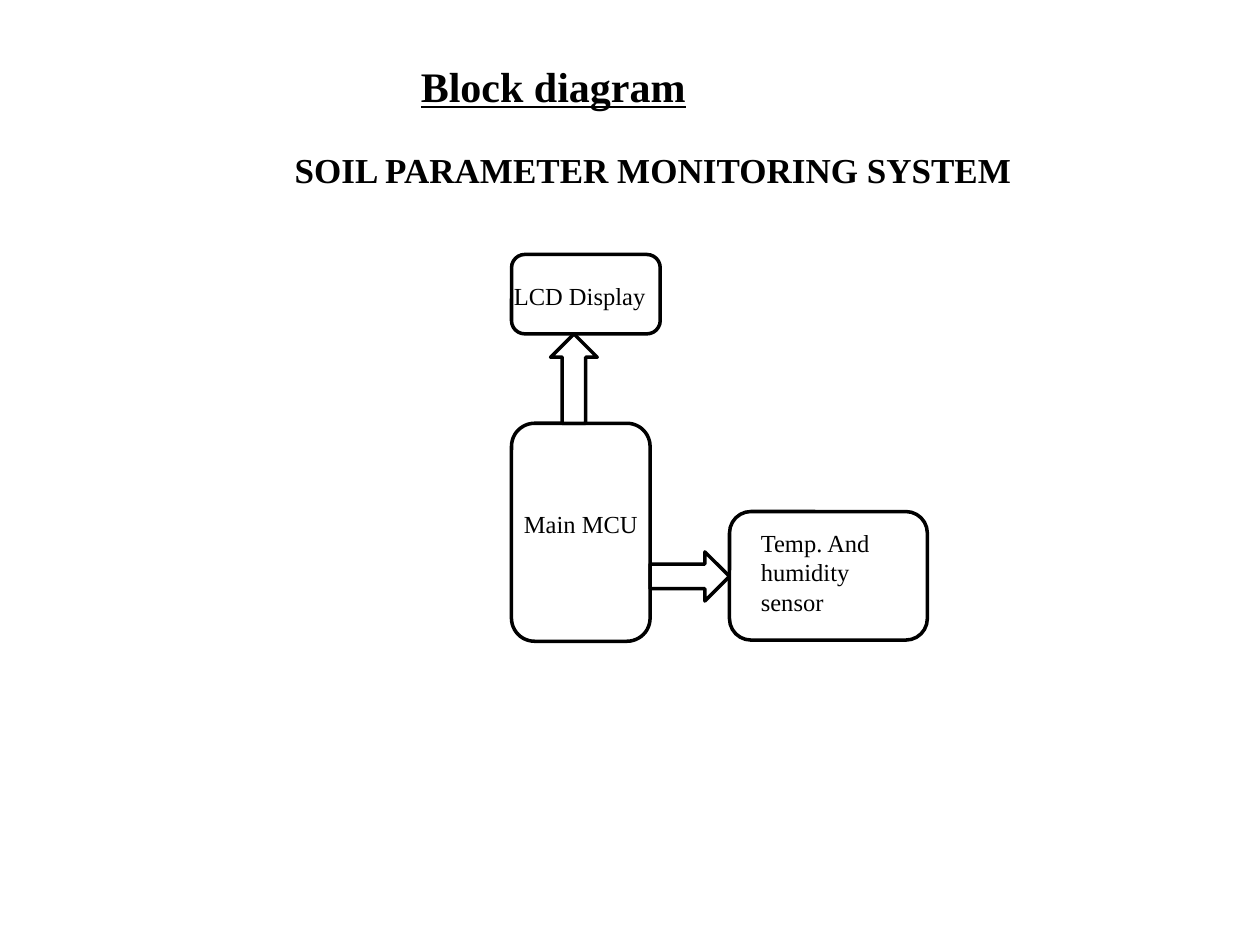
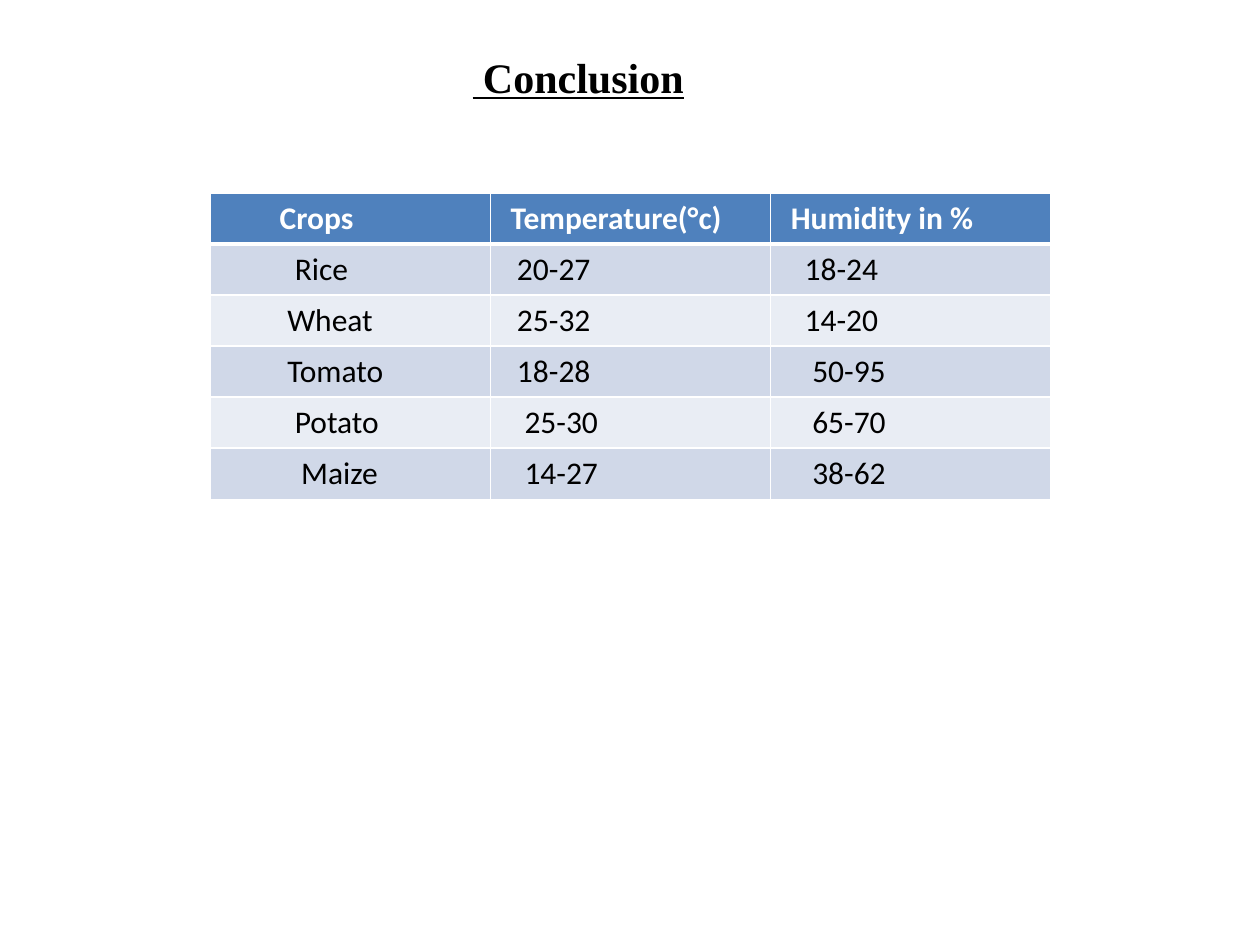
from lxml import etree
from pptx import Presentation
from pptx.dml.color import RGBColor
from pptx.enum.shapes import MSO_SHAPE as SHAPE
from pptx.enum.text import MSO_ANCHOR as ANCHOR, MSO_AUTO_SIZE as AUTO, PP_ALIGN as ALIGN
from pptx.oxml.ns import qn
from pptx.util import Inches, Pt

BLACK = RGBColor(0x00, 0x00, 0x00)
WHITE = RGBColor(0xFF, 0xFF, 0xFF)
HEADER = RGBColor(0x4F, 0x81, 0xBD)
BANDS = [RGBColor(0xD0, 0xD8, 0xE8), RGBColor(0xE9, 0xED, 0xF4)]
SERIF = "Times New Roman"
TITLE = {"name": SERIF, "size": Pt(24), "bold": True, "underline": True}
SUBTITLE = {"name": SERIF, "size": Pt(20), "bold": True}
LABEL = {"name": SERIF, "size": Pt(14)}
CELL = {"name": "Calibri", "size": Pt(18)}


def write(tf, text, font, color=BLACK):
    p = tf.paragraphs[0]
    p.alignment = ALIGN.LEFT
    r = p.add_run()
    r.text = text
    for key, value in font.items():
        setattr(r.font, key, value)
    r.font.color.rgb = color


def add_titled_slide(text, box, indent):
    s = prs.slides.add_slide(prs.slide_layouts[5])
    sp = s.shapes.title
    sp.left, sp.top, sp.width, sp.height = map(Inches, box)
    tf = sp.text_frame
    tf.auto_size = AUTO.NONE
    tf.vertical_anchor = ANCHOR.BOTTOM
    tf.margin_left = Inches(0.1 + indent)
    tf.margin_bottom = Inches(0.05)
    write(tf, text, TITLE)
    return s


prs = Presentation()
prs.slide_width, prs.slide_height = Inches(10), Inches(7.5)

# Block diagram
s = add_titled_slide("Block diagram", (1.3, 0.36, 7.56, 0.57), 1.94)

blocks = [
    (SHAPE.ROUNDED_RECTANGLE, 4.06, 3.36, 1.1, 1.73),
    (SHAPE.ROUNDED_RECTANGLE, 4.06, 2.02, 1.18, 0.63),
    (SHAPE.UP_ARROW, 4.37, 2.65, 0.37, 0.71),
    (SHAPE.ROUNDED_RECTANGLE, 5.79, 4.06, 1.57, 1.02),
    (SHAPE.RIGHT_ARROW, 5.16, 4.38, 0.63, 0.39),
]
for kind, *box in blocks:
    sp = s.shapes.add_shape(kind, *map(Inches, box))
    sp.shadow.inherit = False
    sp.fill.solid()
    sp.fill.fore_color.rgb = WHITE
    sp.line.color.rgb = BLACK
    sp.line.width = Pt(2)

labels = [
    ("SOIL PARAMETER MONITORING SYSTEM", SUBTITLE, 2.24, 1.13, 6.61, 0.44),
    ("LCD Display", LABEL, 3.98, 2.18, 1.26, 0.34),
    ("Main MCU", LABEL, 4.06, 3.99, 2.36, 0.34),
    ("Temp. And humidity sensor", LABEL, 5.94, 4.14, 1.26, 0.81),
]
for text, font, *box in labels:
    tf = s.shapes.add_textbox(*map(Inches, box)).text_frame
    tf.word_wrap = True
    write(tf, text, font)

# Conclusion
s = add_titled_slide(" Conclusion", (2.4, 0.36, 4.17, 0.5), 1.25)

# Each row holds its texts and their indents in inches
crops = [
    (("Crops", "Temperature(°c)", "Humidity in %"), (0.45, 0.06, 0.06)),
    (("Rice", "20-27", "18-24"), (0.57, 0.11, 0.17)),
    (("Wheat", "25-32", "14-20"), (0.51, 0.11, 0.17)),
    (("Tomato", "18-28", "50-95"), (0.51, 0.11, 0.23)),
    (("Potato", "25-30", "65-70"), (0.57, 0.17, 0.23)),
    (("Maize", "14-27", "38-62"), (0.62, 0.17, 0.23)),
]
table = s.shapes.add_table(len(crops), 3, Inches(1.67), Inches(1.53),
                           Inches(6.67), Inches(2.43)).table
for i, (texts, indents) in enumerate(crops):
    is_header = i == 0
    for j, (text, indent) in enumerate(zip(texts, indents)):
        cell = table.cell(i, j)
        cell.margin_left = Inches(0.1 + indent)
        # White borders go before the fill, the one under the header thicker
        tcPr = cell._tc.get_or_add_tcPr()
        for side in ("L", "R", "T", "B"):
            thick = (i, side) in ((0, "B"), (1, "T"))
            ln = etree.SubElement(tcPr, qn(f"a:ln{side}"), w=str(Pt(3 if thick else 1)))
            fill = etree.SubElement(ln, qn("a:solidFill"))
            etree.SubElement(fill, qn("a:srgbClr"), val=str(WHITE))
        cell.fill.solid()
        cell.fill.fore_color.rgb = HEADER if is_header else BANDS[(i - 1) % 2]
        write(cell.text_frame, text, CELL | {"bold": is_header},
              WHITE if is_header else BLACK)

prs.save("out.pptx")
